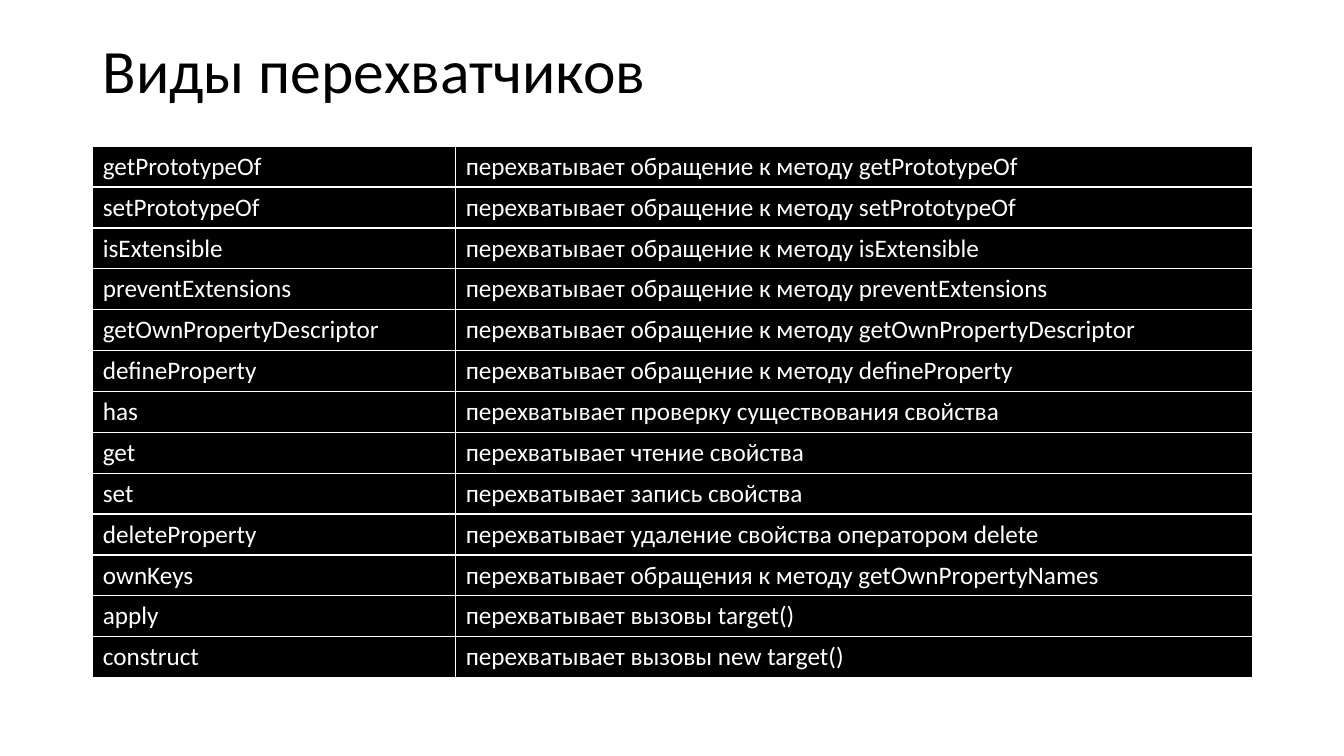
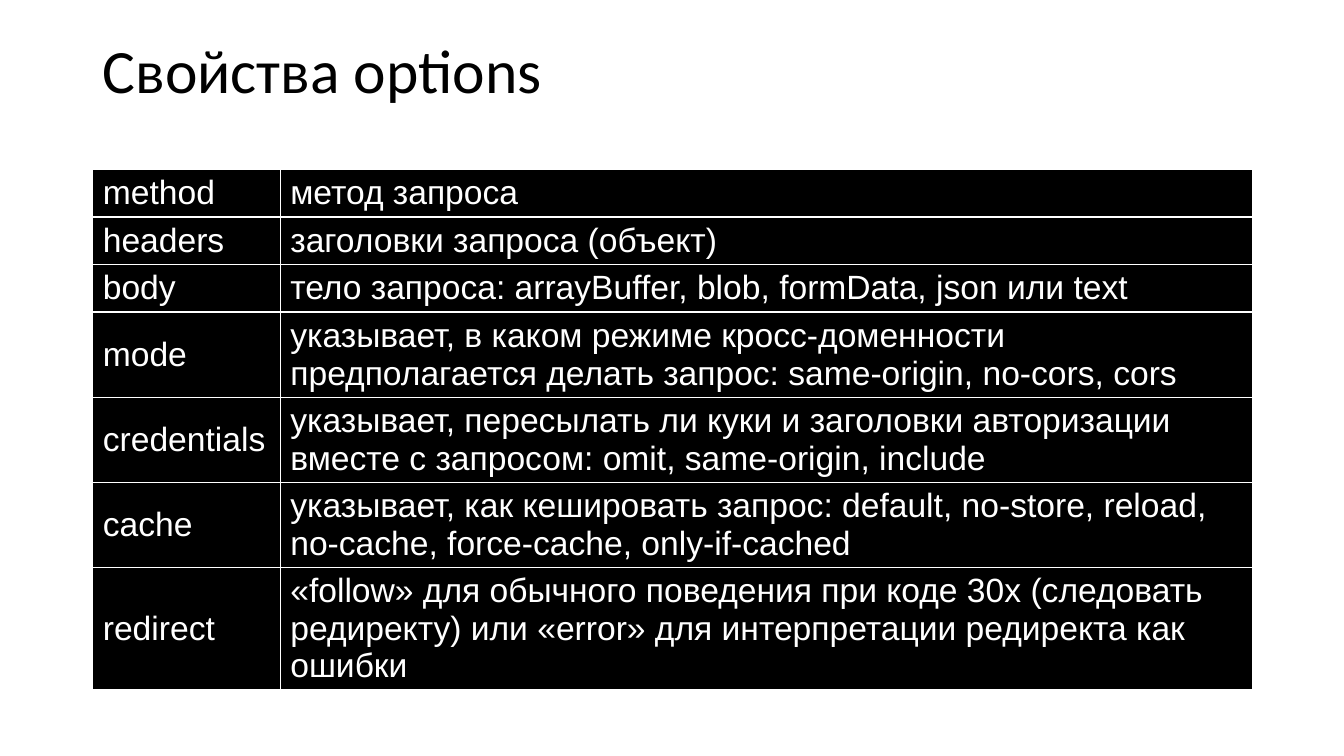
from lxml.etree import SubElement
from pptx import Presentation
from pptx.dml.color import RGBColor
from pptx.enum.text import MSO_ANCHOR, MSO_AUTO_SIZE, PP_ALIGN
from pptx.oxml.ns import qn
from pptx.util import Inches, Pt

COLORS = {"title": "000000", "cell": "000000", "cell_text": "FFFFFF", "border": "FFFFFF"}
TITLE_FONT = "Calibri"
LEFT, WIDTH, TITLE_HEIGHT = 0.92, 11.5, 1.45

METHOD_CALL = "перехватывает обращение к методу "
TRAPPED_METHODS = ["getPrototypeOf", "setPrototypeOf", "isExtensible", "preventExtensions",
                   "getOwnPropertyDescriptor", "defineProperty"]

SLIDES = [
    {
        "title": "Виды перехватчиков",
        "top": 1.45, "first_column": 3.6, "row_height": 0.4, "font": "Calibri", "size": 18,
        "rows": [(method, METHOD_CALL + method) for method in TRAPPED_METHODS] + [
            ("has", "перехватывает проверку существования свойства"),
            ("get", "перехватывает чтение свойства"),
            ("set", "перехватывает запись свойства"),
            ("deleteProperty", "перехватывает удаление свойства оператором delete"),
            ("ownKeys", "перехватывает обращения к методу getOwnPropertyNames"),
            ("apply", "перехватывает вызовы target()"),
            ("construct", "перехватывает вызовы new target()"),
        ],
    },
    {
        "title": "Свойства options",
        "top": 1.68, "first_column": 1.86, "row_height": 0.47, "font": "Arial", "size": 24,
        "rows": [
            ("method", "метод запроса"),
            ("headers", "заголовки запроса (объект)"),
            ("body", "тело запроса: arrayBuffer, blob, formData, json или text"),
            ("mode", "указывает, в каком режиме кросс-доменности предполагается "
                     "делать запрос: same-origin, no-cors, cors"),
            ("credentials", "указывает, пересылать ли куки и заголовки авторизации "
                            "вместе с запросом: omit, same-origin, include"),
            ("cache", "указывает, как кешировать запрос: default, no-store, reload, "
                      "no-cache, force-cache, only-if-cached"),
            ("redirect", "«follow» для обычного поведения при коде 30x (следовать редиректу) "
                         "или «error» для интерпретации редиректа как ошибки"),
        ],
    },
]


def format_text(paragraph, font, size, color):
    for run in paragraph.runs:
        run.font.name = font
        run.font.size = Pt(size)
        run.font.color.rgb = RGBColor.from_string(COLORS[color])


def add_borders(cell):
    properties = cell._tc.get_or_add_tcPr()
    for side in ("lnL", "lnR", "lnT", "lnB"):
        line = SubElement(properties, qn(f"a:{side}"), w=str(Pt(1)))
        fill = SubElement(line, qn("a:solidFill"))
        SubElement(fill, qn("a:srgbClr"), val=COLORS["border"])


def fill_title(title, text):
    title.left, title.top = Inches(LEFT), Inches(0)
    title.width, title.height = Inches(WIDTH), Inches(TITLE_HEIGHT)
    frame = title.text_frame
    frame.text = text
    frame.auto_size = MSO_AUTO_SIZE.NONE
    frame.vertical_anchor = MSO_ANCHOR.MIDDLE
    paragraph = frame.paragraphs[0]
    paragraph.alignment = PP_ALIGN.LEFT
    paragraph.line_spacing = 0.9
    format_text(paragraph, TITLE_FONT, 44, "title")


def add_definitions(slide, content):
    """Add a two-column table of terms and their meanings."""
    rows = content["rows"]
    table = slide.shapes.add_table(
        len(rows), 2, Inches(LEFT), Inches(content["top"]),
        Inches(WIDTH), Inches(content["row_height"] * len(rows))).table
    table.first_row = table.horz_banding = False
    table.columns[0].width = Inches(content["first_column"])
    table.columns[1].width = Inches(WIDTH - content["first_column"])
    for row_index, row in enumerate(rows):
        for column_index, text in enumerate(row):
            cell = table.cell(row_index, column_index)
            cell.text_frame.text = text
            cell.vertical_anchor = MSO_ANCHOR.MIDDLE
            add_borders(cell)
            cell.fill.solid()
            cell.fill.fore_color.rgb = RGBColor.from_string(COLORS["cell"])
            format_text(cell.text_frame.paragraphs[0], content["font"], content["size"], "cell_text")


def main():
    presentation = Presentation()
    presentation.slide_width, presentation.slide_height = Inches(13.33), Inches(7.5)
    title_only = presentation.slide_layouts.get_by_name("Title Only")
    for content in SLIDES:
        slide = presentation.slides.add_slide(title_only)
        fill_title(slide.shapes.title, content["title"])
        add_definitions(slide, content)
    presentation.save("out.pptx")


if __name__ == "__main__":
    main()
